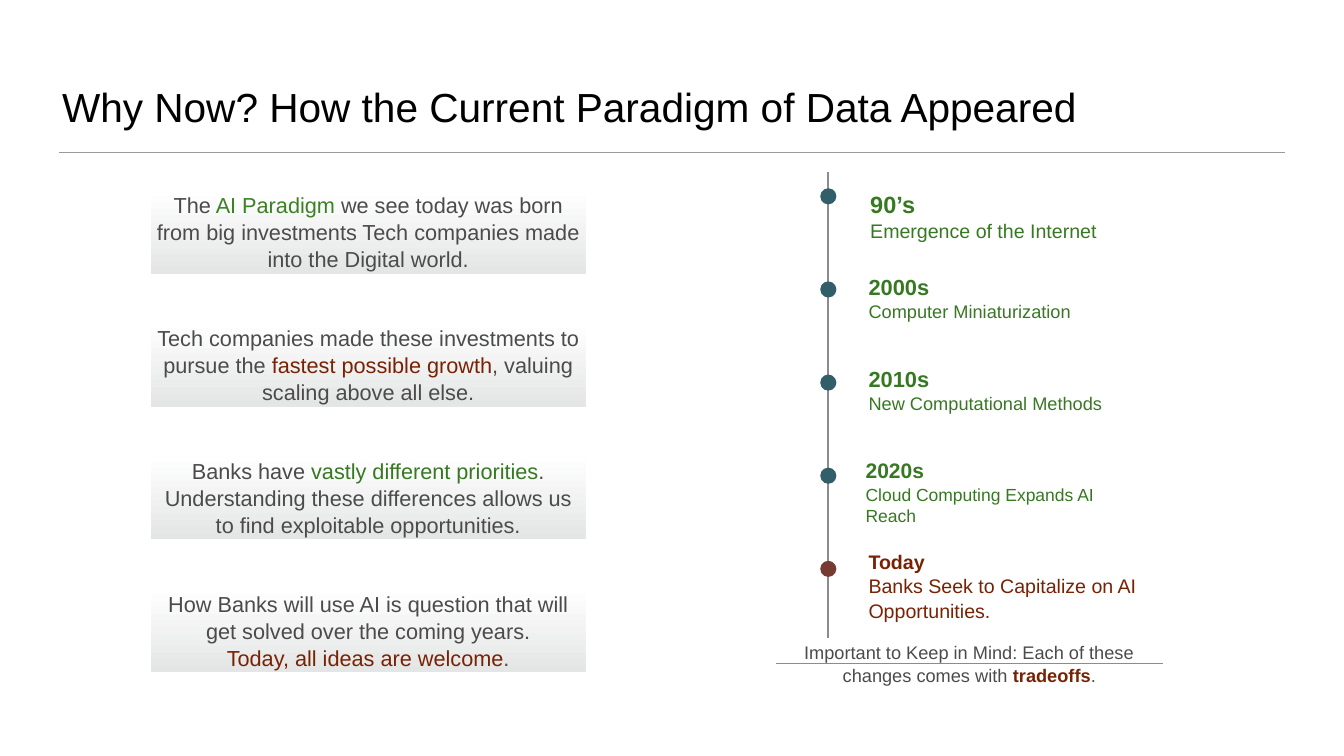
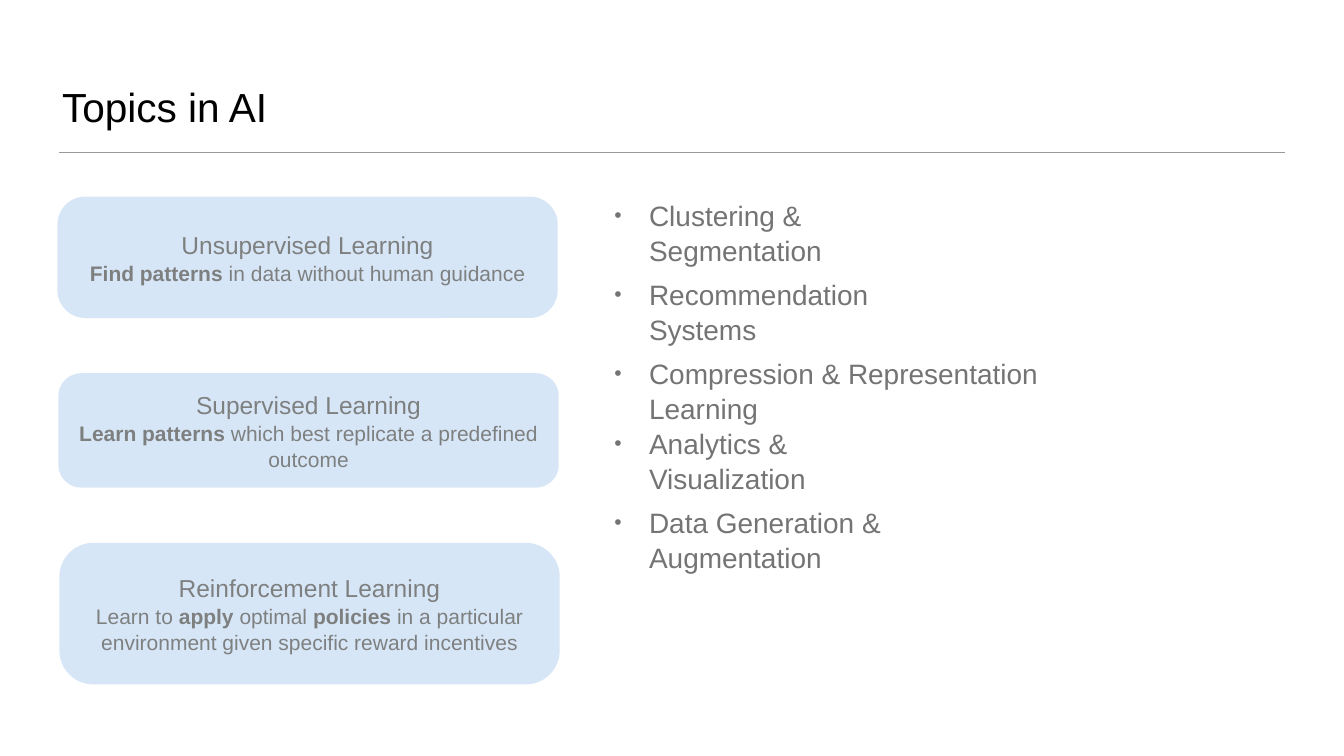
from dataclasses import dataclass

from lxml import etree
from pptx import Presentation
from pptx import util as u
from pptx.dml.color import RGBColor
from pptx.enum import shapes, text
from pptx.oxml.ns import qn

FONT = "Arial"
BLACK, WHITE = "000000", "FFFFFF"
BODY_GREY, CARD_GREY, TOPIC_GREY = "4B4B4B", "7E8080", "747474"
RULE_GREY, SPINE_GREY, PANEL_GREY = "9A9A9A", "8C8C8C", "E4E5E5"
GREEN, LIGHT_GREEN, RED = "377823", "3C8126", "782204"
TEAL_DOT, RED_DOT, CARD_BLUE = "325E6A", "773A33", "8BB7E9"
INSET = u.Inches(0.06)
LINE_SPACING = 1.04
CENTER, LEFT = text.PP_ALIGN.CENTER, text.PP_ALIGN.LEFT
TOP, MIDDLE, BOTTOM = (text.MSO_ANCHOR.TOP, text.MSO_ANCHOR.MIDDLE,
                       text.MSO_ANCHOR.BOTTOM)


@dataclass
class Box:
    x: int
    y: int
    w: int
    h: int

    def inner(self, x, y, w, h):
        """Return the inner box given in percent of this one."""
        return Box(int(self.x + self.w * x / 100), int(self.y + self.h * y / 100),
                   int(self.w * w / 100), int(self.h * h / 100))

    def bounds(self):
        return self.x, self.y, self.w, self.h


PAGE = Box(0, 0, u.Inches(26.67), u.Inches(15))

# Each run is (text, colour or None, bold).
PARADIGM = [
    [[("The", None, False), (" AI Paradigm", LIGHT_GREEN, False),
      (" we see today was born from big investments Tech companies made into "
       "the Digital world.", None, False)]],
    [[("Tech companies made these investments to pursue the ", None, False),
      ("fastest possible growth", RED, False),
      (", valuing scaling above all else.", None, False)]],
    [[("Banks have ", None, False), ("vastly different priorities", GREEN, False),
      (". Understanding these differences allows us to find exploitable "
       "opportunities.", None, False)]],
    [[("How Banks will use AI is question that will get solved over the coming "
       "years.", None, False)],
     [("Today, all ideas are welcome", RED, False), (".", None, False)]],
]
TAKEAWAY = [("Important to Keep in Mind: Each of these changes comes with ", None, False),
            ("tradeoffs", RED, True), (".", None, False)]

# era, event, era size, event size, text colour, dot colour, left, drop in row, width
ERAS = [
    ("90’s", "Emergence of the Internet", 33.6, 28, GREEN, TEAL_DOT, 21.8, 14, 60.6),
    ("2000s", "Computer Miniaturization", 31.2, 26, GREEN, TEAL_DOT, 21.4, 4, 73.1),
    ("2010s", "New Computational Methods", 31.2, 26, GREEN, TEAL_DOT, 21.4, 3, 67),
    ("2020s", "Cloud Computing Expands AI Reach", 30, 25, GREEN, TEAL_DOT, 20.7, 2, 68.4),
    ("Today", "Banks Seek to Capitalize on AI Opportunities.", 28, 28, RED, RED_DOT,
     21.4, 1, 78.6),
]

# heading, description, share of the column's height, corner rounding
LEARNING_TYPES = [
    ("Unsupervised Learning",
     [("Find patterns", None, True), (" in data without human guidance", None, False)],
     24.9, 0.23),
    ("Supervised Learning",
     [("Learn patterns", None, True),
      (" which best replicate a predefined outcome", None, False)], 23.45, 0.2),
    ("Reinforcement Learning",
     [("Learn to ", None, False), ("apply", None, True), (" optimal ", None, False),
      ("policies", None, True),
      (" in a particular environment given specific reward incentives", None, False)],
     29.03, 0.24),
]

# lines of the topic, space before
TOPICS = [
    (("Clustering &", "Segmentation"), 0),
    (("Recommendation", "Systems"), 13),
    (("Compression & Representation", "Learning"), 13),
    (("Analytics &", "Visualization"), 0),
    (("Data Generation &", "Augmentation"), 13),
]


def rgb(hex_colour):
    return RGBColor.from_string(hex_colour)


def set_frame(frame, anchor=TOP):
    frame.auto_size = text.MSO_AUTO_SIZE.NONE
    frame.word_wrap = True
    frame.vertical_anchor = anchor
    frame.margin_left = frame.margin_right = INSET
    frame.margin_top = frame.margin_bottom = INSET


def next_paragraph(frame):
    first = frame.paragraphs[0]
    return frame.add_paragraph() if first.runs else first


def set_paragraph(paragraph, size, colour, align=LEFT, before=0, bullet=None):
    props = paragraph._p.get_or_add_pPr()
    indent = u.Inches(0.69) if bullet else 0
    props.set("marL", str(indent))
    props.set("indent", str(-indent))
    paragraph.alignment = align
    paragraph.line_spacing = LINE_SPACING
    paragraph.space_before = u.Pt(before)
    paragraph.space_after = u.Pt(0)
    if bullet:
        etree.SubElement(props, qn("a:buSzPct"), val="75000")
        etree.SubElement(props, qn("a:buChar"), char=bullet)
    else:
        etree.SubElement(props, qn("a:buNone"))
    paragraph.font.name = FONT
    paragraph.font.size = u.Pt(size)
    paragraph.font.color.rgb = rgb(colour)


def add_runs(paragraph, runs):
    for words, colour, bold in runs:
        run = paragraph.add_run()
        run.text = words
        if bold:
            run.font.bold = True
        if colour:
            run.font.color.rgb = rgb(colour)


def add_panel(slide, kind, box):
    panel = slide.shapes.add_shape(kind, *box.bounds())
    panel.shadow.inherit = False
    panel.line.fill.background()
    return panel


def add_line(slide, start, end, colour, width):
    line = slide.shapes.add_connector(shapes.MSO_CONNECTOR.STRAIGHT, *start, *end)
    line.line.color.rgb = rgb(colour)
    line.line.width = u.Pt(width)
    etree.SubElement(line.element.spPr, qn("a:effectLst"))
    return line


def move_to(placeholder, box):
    placeholder.left, placeholder.top, placeholder.width, placeholder.height = box.bounds()


def add_titled_slide(prs, title):
    slide = prs.slides.add_slide(prs.slide_layouts[1])
    heading = slide.shapes.title
    move_to(heading, PAGE.inner(4.39, 3.4, 91.19, 14.33))
    set_frame(heading.text_frame, BOTTOM)
    paragraph = heading.text_frame.paragraphs[0]
    set_paragraph(paragraph, 58, BLACK)
    add_runs(paragraph, [(title, None, False)])
    return slide


def put_title_rule_on_master(prs, slide):
    band = PAGE.inner(4.39, 20.2, 91.22, 0)
    rule = add_line(slide, (band.x, band.y), (band.x + band.w, band.y), RULE_GREY, 1)
    prs.slide_master.shapes.element.append(rule.element)


def draw_paradigm(slide, box):
    height = 17.52
    step = (100 - height) / (len(PARADIGM) - 1)
    for row, statement in enumerate(PARADIGM):
        panel = add_panel(slide, shapes.MSO_SHAPE.RECTANGLE,
                          box.inner(0, row * step, 100, height))
        panel.fill.gradient()
        panel.fill.gradient_angle = 270
        for stop, colour in zip(panel.fill.gradient_stops, (WHITE, PANEL_GREY)):
            stop.color.rgb = rgb(colour)
        set_frame(panel.text_frame, MIDDLE)
        for runs in statement:
            paragraph = next_paragraph(panel.text_frame)
            set_paragraph(paragraph, 31, BODY_GREY, CENTER)
            add_runs(paragraph, runs)


def write_era(frame, era, event, era_size, event_size, colour):
    set_frame(frame)
    paragraph = frame.paragraphs[0]
    set_paragraph(paragraph, event_size, colour)
    add_runs(paragraph, [(era, None, True)])
    paragraph.runs[0].font.size = u.Pt(era_size)
    paragraph.add_line_break()
    add_runs(paragraph, [(event, None, False)])


def draw_timeline(slide, box):
    """Draw the spine, one dot and label a row; the first label is the body."""
    spine = box.inner(12.5, 0, 0, 100)
    add_line(slide, (spine.x, spine.y + spine.h), (spine.x, spine.y), SPINE_GREY, 3)
    dot = u.Inches(0.32)
    pitch = 100 / len(ERAS)
    for index, (era, event, era_size, event_size, colour, dot_colour,
                left, drop, width) in enumerate(ERAS):
        row = box.inner(0, index * pitch, 100, pitch)
        center = row.inner(12.5, 25.7, 0, 0)
        marker = add_panel(slide, shapes.MSO_SHAPE.OVAL,
                           Box(center.x - dot // 2, center.y - dot // 2, dot, dot))
        marker.fill.solid()
        marker.fill.fore_color.rgb = rgb(dot_colour)
        place = row.inner(left, drop, width, 94)
        if index == 0:
            label = slide.placeholders[1]
            move_to(label, place)
        else:
            label = slide.shapes.add_textbox(*place.bounds())
        write_era(label.text_frame, era, event, era_size, event_size, colour)


def draw_takeaway(slide, box):
    middle = box.y + box.h // 2
    add_line(slide, (box.x, middle), (box.x + box.w, middle), SPINE_GREY, 1)
    frame = slide.shapes.add_textbox(*box.bounds()).text_frame
    set_frame(frame, MIDDLE)
    set_paragraph(frame.paragraphs[0], 26, BODY_GREY, CENTER)
    add_runs(frame.paragraphs[0], TAKEAWAY)


def draw_learning_types(slide, box):
    gap = (100 - sum(kind[2] for kind in LEARNING_TYPES)) / (len(LEARNING_TYPES) - 1)
    top = 0
    for index, (heading, description, height, rounding) in enumerate(LEARNING_TYPES):
        card = add_panel(slide, shapes.MSO_SHAPE.ROUNDED_RECTANGLE,
                         box.inner(index * 0.2, top, 100, height))
        top += height + gap
        card.adjustments[0] = rounding
        card.fill.solid()
        card.fill.fore_color.rgb = rgb(CARD_BLUE)
        tint = card.element.spPr.find(qn("a:solidFill")).find(qn("a:srgbClr"))
        etree.SubElement(tint, qn("a:alpha"), val="34000")
        set_frame(card.text_frame, MIDDLE)
        for size, runs in ((35, [(heading, None, False)]), (30, description)):
            paragraph = next_paragraph(card.text_frame)
            set_paragraph(paragraph, size, CARD_GREY, CENTER)
            add_runs(paragraph, runs)


def fill_topics(slide, box):
    topics = slide.placeholders[1]
    move_to(topics, box)
    set_frame(topics.text_frame)
    for (first_line, second_line), before in TOPICS:
        paragraph = next_paragraph(topics.text_frame)
        set_paragraph(paragraph, 40, TOPIC_GREY, before=before, bullet="•")
        add_runs(paragraph, [(first_line, None, False)])
        paragraph.add_line_break()
        add_runs(paragraph, [(second_line, None, False)])


def main():
    prs = Presentation()
    prs.slide_width, prs.slide_height = PAGE.w, PAGE.h

    why_now = add_titled_slide(prs, "Why Now? How the Current Paradigm of Data Appeared")
    put_title_rule_on_master(prs, why_now)
    draw_paradigm(why_now, PAGE.inner(11.21, 25, 32.36, 63.93))
    draw_timeline(why_now, PAGE.inner(57.74, 22.8, 31.12, 61.6))
    draw_takeaway(why_now, PAGE.inner(57.74, 84.4, 28.76, 6.67))

    topics_in_ai = add_titled_slide(prs, "Topics in AI")
    draw_learning_types(topics_in_ai, PAGE.inner(4.27, 26, 37.23, 64.53))
    fill_topics(topics_in_ai, PAGE.inner(45.48, 25.67, 39.3, 50))

    prs.save("out.pptx")


if __name__ == "__main__":
    main()
